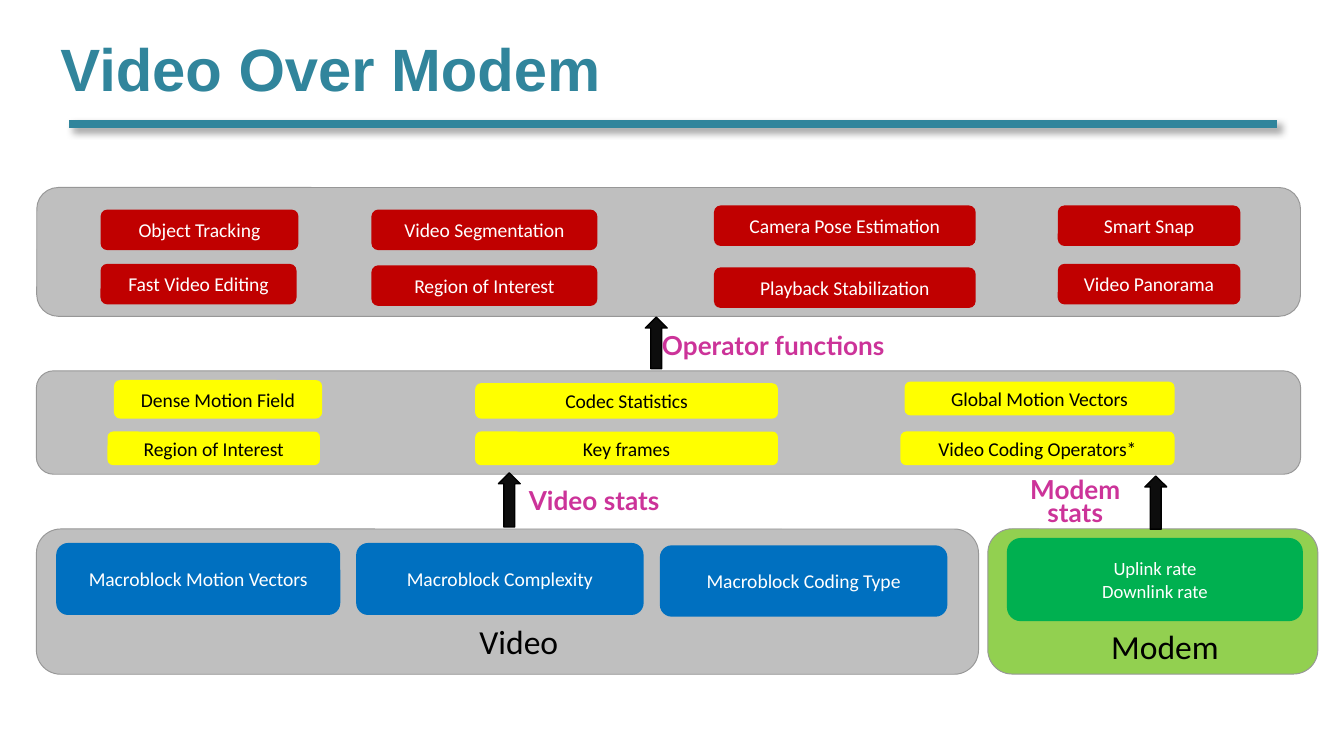
from lxml import etree
from pptx import Presentation
from pptx.dml.color import RGBColor
from pptx.enum.shapes import MSO_CONNECTOR as LINK, MSO_SHAPE as KIND
from pptx.enum.text import MSO_ANCHOR as ANCHOR, PP_ALIGN as ALIGN
from pptx.util import Pt


def rgb(code):
    return RGBColor.from_string(code)


def put(place, fill=None, text="", color="FFFFFF", size=10.5, edge=None,
        width=0.5, kind=KIND.ROUNDED_RECTANGLE, font="Calibri", bold=False,
        align=ALIGN.CENTER, anchor=ANCHOR.MIDDLE, space=None, wrap=True):
    spot = [Pt(n) for n in place]
    if fill:
        item = slide.shapes.add_shape(kind, *spot)
        item.shadow.inherit = False
        item.fill.solid()
        item.fill.fore_color.rgb = rgb(fill)
        if edge:
            item.line.color.rgb = rgb(edge)
            item.line.width = Pt(width)
        else:
            item.line.fill.background()
    else:
        item = slide.shapes.add_textbox(*spot)
    if text:
        frame = item.text_frame
        frame.text = text
        frame.word_wrap = wrap
        frame.vertical_anchor = anchor
        for para in frame.paragraphs:
            para.alignment = align
            para.line_spacing = space
            for run in para.runs:
                run.font.name = font
                run.font.size = Pt(size)
                run.font.bold = bold
                run.font.color.rgb = rgb(color)


deck = Presentation()
deck.slide_width, deck.slide_height = Pt(720), Pt(405)
slide = deck.slides.add_slide(deck.slide_layouts[5])

rule = slide.shapes.add_connector(LINK.STRAIGHT, Pt(37), Pt(66.5), Pt(684), Pt(66.5))
rule.line.color.rgb = rgb("31859C")
rule.line.width = Pt(4.5)
rule.element.spPr.append(etree.fromstring(
    '<a:effectLst xmlns:a="http://schemas.openxmlformats.org/drawingml/2006/main">'
    '<a:outerShdw blurRad="50800" dist="38100" dir="2700000" algn="tl" rotWithShape="0">'
    '<a:srgbClr val="000000"><a:alpha val="40000"/></a:srgbClr>'
    '</a:outerShdw></a:effectLst>'))

title = slide.shapes.title
title.left, title.top, title.width, title.height = Pt(25.2), Pt(2.2), Pt(694.8), Pt(67.7)
title.text_frame.text = "Video Over Modem"
title.text_frame.vertical_anchor = ANCHOR.MIDDLE
head = title.text_frame.paragraphs[0]
head.alignment = ALIGN.LEFT
font = head.runs[0].font
font.name, font.size, font.bold = "Arial", Pt(32), True
font.color.rgb = rgb("31859C")

panels = [
    ((19.7, 100.5, 677, 69), "BFBFBF"),
    ((19.5, 198.7, 677.3, 55.4), "BFBFBF"),
    ((19.5, 283.4, 504.7, 77.8), "BFBFBF"),
    ((529.2, 283.3, 176.8, 77.8), "92D050"),
]
for place, fill in panels:
    put(place, fill, edge="979797")

tools = [
    (53.9, 106, 112.3, "Object Tracking"),
    (53.9, 105, 141.4, "Fast Video Editing"),
    (199, 121, 112.3, "Video Segmentation"),
    (199, 121, 142.2, "Region of Interest"),
    (382.5, 140.2, 110.1, "Camera Pose Estimation"),
    (382.5, 140.2, 143.3, "Playback Stabilization"),
    (566.7, 97.8, 110.1, "Smart Snap"),
    (566.7, 97.8, 141.4, "Video Panorama"),
]
for left, width, top, text in tools:
    put((left, top, width, 21.7), "C00000", text)

stats = [
    ((61, 203.6, 111.6, 20.7), "Dense Motion Field"),
    ((57.6, 231.2, 113.8, 18), "Region of Interest"),
    ((254.6, 205.3, 162.2, 19), "Codec Statistics"),
    ((254.6, 231.2, 162.2, 18), "Key frames"),
    ((484.6, 204.5, 144.6, 18), "Global Motion Vectors"),
    ((482.4, 231.2, 146.8, 18), "Video Coding Operators*"),
]
for place, text in stats:
    put(place, "FFFF00", text, "000000")

blocks = [
    ((30.1, 290.9, 152.2, 38.6), "Macroblock Motion Vectors"),
    ((190.8, 290.9, 154, 38.6), "Macroblock Complexity"),
    ((353.5, 292.2, 154, 38.2), "Macroblock Coding Type"),
]
for place, text in blocks:
    put(place, "0070C0", text)
put((539.4, 288.2, 158.6, 44.6), "00B050", "Uplink rate\nDownlink rate", size=10)

for left, top, high in [(345.7, 169.9, 27.6), (267, 253.3, 29), (613.3, 255, 28.5)]:
    put((left, top, 11.7, high), "0D0D0D", edge="000000", width=0.75, kind=KIND.UP_ARROW)

flows = [
    ((321.8, 176.4, 185, 20.2), "Operator functions"),
    ((239.8, 258.5, 157, 22.3), "Video stats"),
    ((531.4, 259.9, 89.3, 20.2), "Modem stats"),
]
for place, text in flows:
    put(place, text=text, color="CC3399", size=14, font="Lato", bold=True, space=0.75)

names = [((249.8, 329, 57.6, 29), "Video", False), ((588.2, 331.9, 94.3, 29), "Modem", True)]
for place, text, wrap in names:
    put(place, text=text, color="000000", size=18, align=ALIGN.LEFT,
        anchor=ANCHOR.TOP, wrap=wrap)

deck.save("out.pptx")
